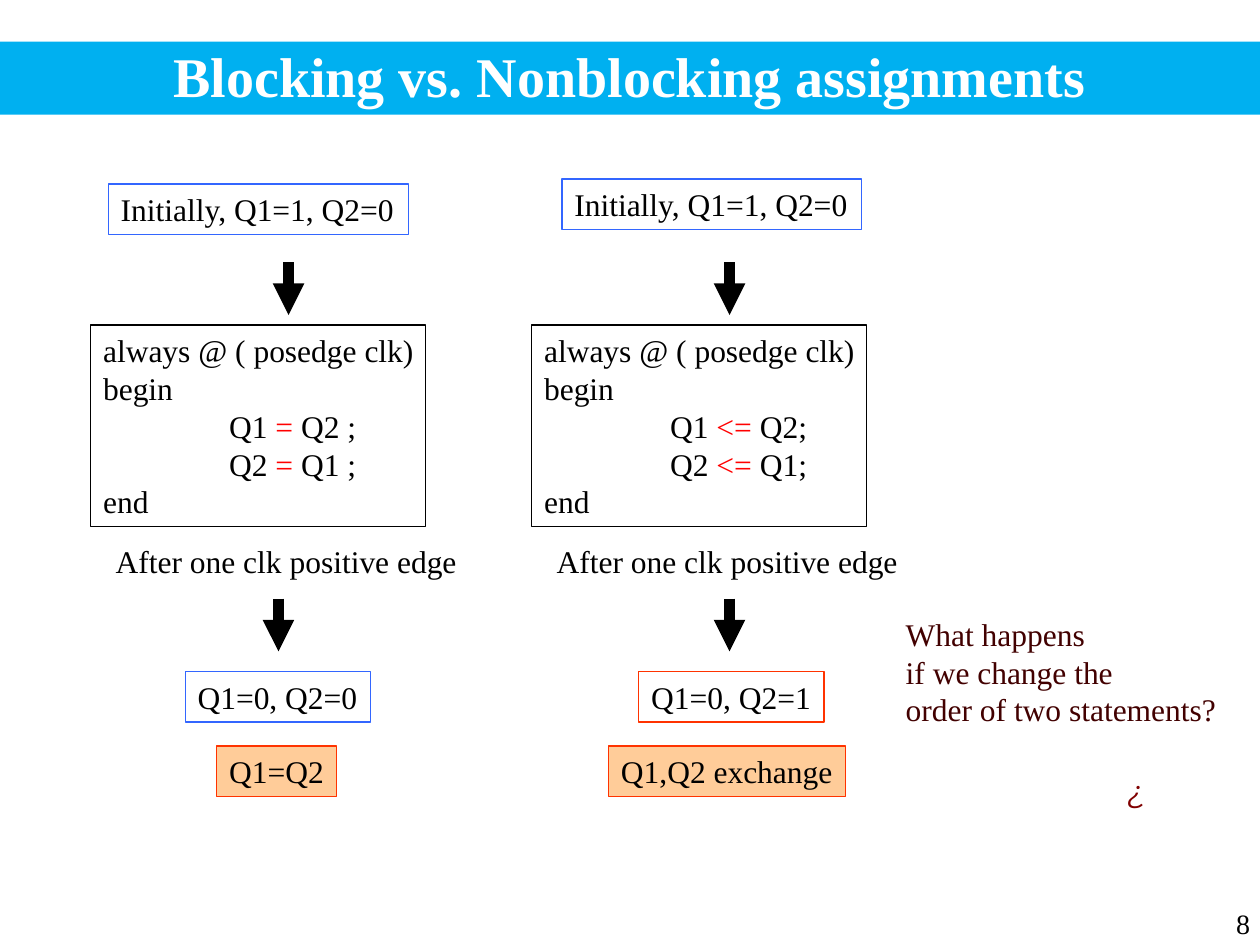
from lxml import etree
from pptx import Presentation
from pptx.dml.color import RGBColor
from pptx.enum.shapes import MSO_CONNECTOR, MSO_SHAPE
from pptx.enum.text import MSO_ANCHOR, MSO_AUTO_SIZE, PP_ALIGN
from pptx.oxml.ns import qn
from pptx.util import Inches, Pt

RECT = MSO_SHAPE.RECTANGLE
STRAIGHT = MSO_CONNECTOR.STRAIGHT
GROW = MSO_AUTO_SIZE.SHAPE_TO_FIT_TEXT
TOP, MIDDLE, BOTTOM = MSO_ANCHOR.TOP, MSO_ANCHOR.MIDDLE, MSO_ANCHOR.BOTTOM
LEFT, CENTER, RIGHT = PP_ALIGN.LEFT, PP_ALIGN.CENTER, PP_ALIGN.RIGHT

WHITE = RGBColor(0xFF, 0xFF, 0xFF)
BLACK = RGBColor(0x00, 0x00, 0x00)
SKY = RGBColor(0x00, 0xB0, 0xF0)
BLUE = RGBColor(0x33, 0x66, 0xFF)
ORANGE = RGBColor(0xFF, 0x33, 0x00)
PEACH = RGBColor(0xFF, 0xCC, 0x99)
RED = RGBColor(0xFF, 0x00, 0x00)
BROWN = RGBColor(0x42, 0x00, 0x00)
MAROON = RGBColor(0x80, 0x00, 0x00)
FONT = "Times New Roman"

prs = Presentation()
prs.slide_width, prs.slide_height = Inches(10), Inches(7.5)
s = prs.slides.add_slide(prs.slide_layouts[5])


def add_text(sp, lines, color=BLACK, size=18, align=LEFT, bold=False, name=FONT):
    """Write lines into sp; a line is a list of runs, each a text or a (text, color) pair."""
    tf = sp.text_frame
    for i, line in enumerate(lines):
        p = tf.add_paragraph() if i else tf.paragraphs[0]
        p.alignment = align
        for item in line:
            text, run_color = item if isinstance(item, tuple) else (item, color)
            r = p.add_run()
            r.text = text
            r.font.name, r.font.size, r.font.bold = name, Pt(size), bold
            r.font.color.rgb = run_color


def add_box(left, top, width, height, lines, line=None, fill=None, wrap=False, color=BLACK):
    """Add a text box, or a rectangle when a line colour is given."""
    place = [Inches(v) for v in (left, top, width, height)]
    if line is None:
        sp = s.shapes.add_textbox(*place)
    else:
        sp = s.shapes.add_shape(RECT, *place)
        sp.shadow.inherit = False
        sp.line.color.rgb = line
        sp.line.width = Pt(0.75)
        if fill is None:
            sp.fill.background()
        else:
            sp.fill.solid()
            sp.fill.fore_color.rgb = fill
    tf = sp.text_frame
    tf.word_wrap, tf.auto_size, tf.vertical_anchor = wrap, GROW, TOP
    add_text(sp, lines, color)
    return sp


# Title band
title = s.shapes.title
title.left, title.top, title.width, title.height = (
    Inches(v) for v in (0, 0.33, 10, 0.58))
title.fill.solid()
title.fill.fore_color.rgb = SKY
title.text_frame.vertical_anchor = BOTTOM
add_text(title, [["Blocking vs. Nonblocking assignments"]], WHITE, 32, CENTER, True)

# One column per kind of assignment:
# code left, start box (left, top), last arrow x, operator, ends of statements,
# state (left, text, line), conclusion (left, width, text)
columns = [
    (0.72, (0.86, 1.46), 2.21, "=", (" Q2 ;", " Q1 ;"),
     (1.47, "Q1=0, Q2=0", BLUE), (1.72, 0.95, "Q1=Q2")),
    (4.22, (4.46, 1.42), 5.79, "<= ", ("Q2;", "Q1;"),
     (5.07, "Q1=0, Q2=1", ORANGE), (4.83, 1.88, "Q1,Q2 exchange")),
]
for left, start, last_x, operator, ends, state, conclusion in columns:
    add_box(*start, 2.38, 0.4, [["Initially, Q1=1, Q2=0"]], BLUE)

    statements = [[f"\tQ{n} ", (operator, RED), end] for n, end in enumerate(ends, 1)]
    code = add_box(left, 2.58, 2.66, 1.6,
                   [["always @ ( posedge clk)"], ["begin"], *statements, ["end"]],
                   BLACK, wrap=True)
    code.text_frame.margin_right = 0  # keeps the first code line unbroken
    for p in code.text_frame.paragraphs:
        tabs = etree.SubElement(p._p.get_or_add_pPr(), qn("a:tabLst"))
        etree.SubElement(tabs, qn("a:tab"), pos=str(Inches(1)), algn="l")

    add_box(left + 0.1, 4.25, 2.91, 0.4, [["After one clk positive edge"]])
    add_box(state[0], 5.33, 1.47, 0.4, [[state[1]]], state[2])
    add_box(conclusion[0], 5.92, conclusion[1], 0.4, [[conclusion[2]]], ORANGE, PEACH)

    for x, y in ((left + 1.57, 2.08), (last_x, 4.75)):
        arrow = s.shapes.add_connector(
            STRAIGHT, Inches(x), Inches(y), Inches(x), Inches(y + 0.42))
        arrow.line.color.rgb = BLACK
        arrow.line.width = Pt(6)
        ln = arrow.line._get_or_add_ln()
        etree.SubElement(ln, qn("a:tailEnd"), type="triangle")
        etree.SubElement(arrow._element.spPr, qn("a:effectLst"))

# Question with its turned question mark
add_box(7.09, 4.83, 2.74, 1,
        [["What happens"], ["if we change the"], ["order of two statements?"]],
        wrap=True, color=BROWN)

mark = s.shapes.add_textbox(Inches(7.99), Inches(5.64), Inches(1), Inches(1.4))
mark.rotation = 90
tf = mark.text_frame
tf.word_wrap, tf.vertical_anchor = False, MIDDLE
tf.margin_left = tf.margin_right = Inches(0.05)
tf.margin_top = tf.margin_bottom = Inches(0.1)
tf._txBody.bodyPr.set("vert", "eaVert")
add_text(mark, [["?"]], MAROON, name="Montserrat")
r = tf.paragraphs[0].runs[0]
r.font.italic = True
ln = etree.Element(qn("a:ln"), w=str(Pt(0.75)))
outline = etree.SubElement(ln, qn("a:solidFill"))
etree.SubElement(outline, qn("a:srgbClr"), val=str(MAROON))
r.font._element.insert(0, ln)

# Page number
number = s.shapes.add_textbox(Inches(7.94), Inches(7.01), Inches(2.08), Inches(0.5))
number.text_frame.word_wrap = True
number.text_frame.vertical_anchor = BOTTOM
add_text(number, [["8"]], size=16, align=RIGHT)

prs.save("out.pptx")
